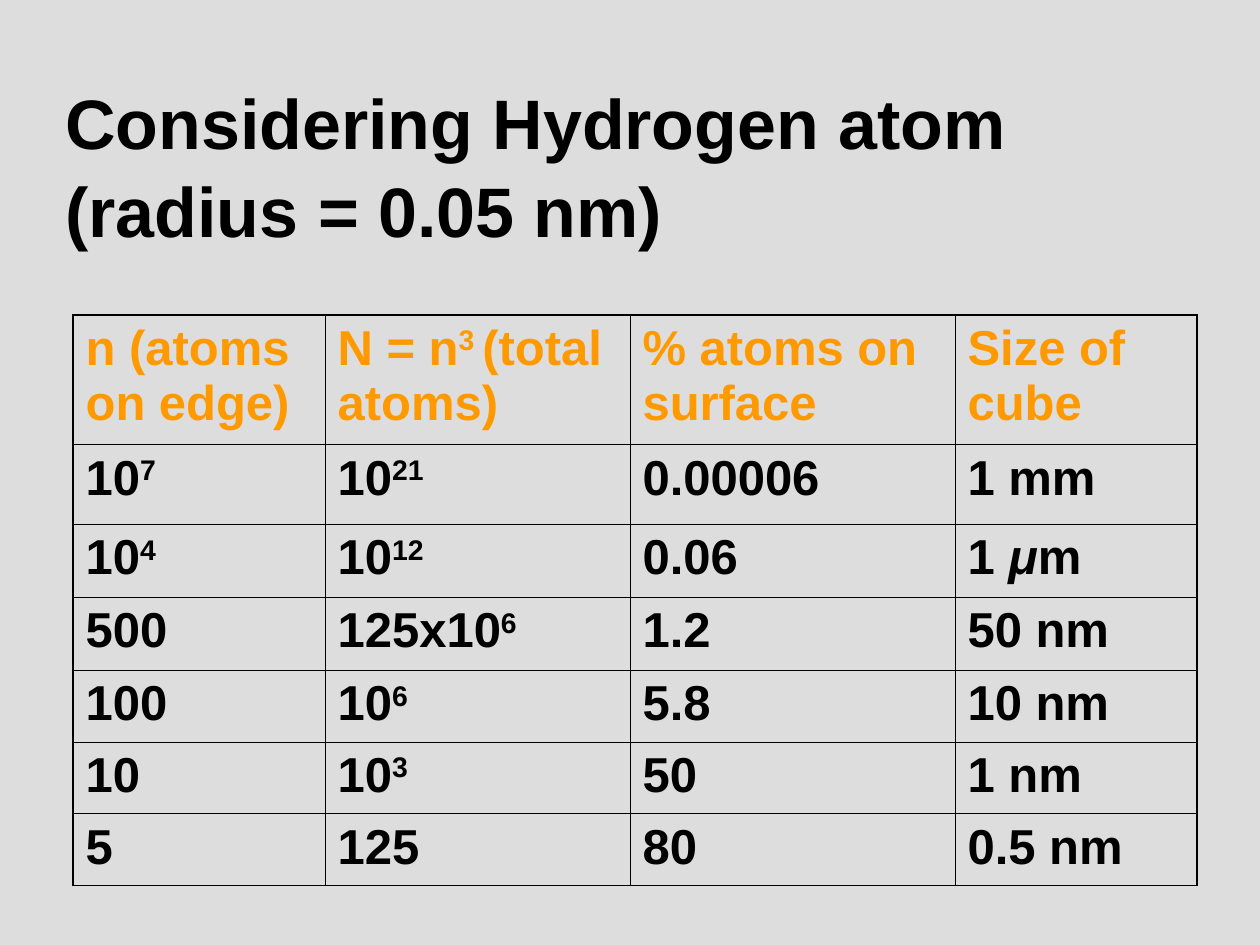
from pptx import Presentation
from pptx.dml.color import RGBColor
from pptx.enum.text import MSO_ANCHOR, MSO_AUTO_SIZE, PP_ALIGN
from pptx.oxml import parse_xml
from pptx.oxml.ns import nsdecls
from pptx.util import Inches, Pt

LEFT, MIDDLE, NO_FIT = PP_ALIGN.LEFT, MSO_ANCHOR.MIDDLE, MSO_AUTO_SIZE.NONE

TITLE = "Considering Hydrogen atom (radius = 0.05 nm)"
# ^...^ marks superscript, *...* marks italic
ROWS = [
    ["n (atoms on edge)", "N = n^3 ^(total atoms)", "% atoms on surface", "Size of cube"],
    ["10^7^", "10^21^", "0.00006", "1 mm"],
    ["10^4^", "10^12^", "0.06", "1 *μ*m"],
    ["500", "125x10^6^", "1.2", "50 nm"],
    ["100", "10^6^", "5.8", "10 nm"],
    ["10", "10^3^", "50", "1 nm"],
    ["5", "125", "80", "0.5 nm"],
]
COL_WIDTHS = [2, 2.42, 2.58, 1.92]
ROW_HEIGHTS = [1.03, 0.63, 0.58, 0.58, 0.57, 0.57, 0.57]
COLORS = {"background": "DDDDDD", "text": "000000", "header": "FF9900", "border": "000000"}
FONT = "Arial"
OUTER, INNER = 1.08, 0.45


def style(font, size, color):
    font.name, font.size, font.bold = FONT, Pt(size), True
    font.color.rgb = RGBColor.from_string(COLORS[color])


def add_marked_runs(p, text, size, color):
    """Write text as runs, turning the ^ and * marks into superscript and italic."""
    for i, part in enumerate(text.split("^")):
        for j, piece in enumerate(part.split("*")):
            if not piece:
                continue
            r = p.add_run()
            r.text = piece
            style(r.font, size, color)
            if i % 2:
                r.font._element.set("baseline", "30000")
            if j % 2:
                r.font.italic = True


def set_borders(cell, at_edge):
    """Draw the four sides, heavier where a side lies on the table's edge."""
    tcPr = cell._tc.get_or_add_tcPr()
    for side, outer in zip("LRTB", at_edge):
        width = Pt(OUTER if outer else INNER)
        tcPr.append(parse_xml(
            f'<a:ln{side} {nsdecls("a")} w="{width}"><a:solidFill>'
            f'<a:srgbClr val="{COLORS["border"]}"/></a:solidFill></a:ln{side}>'))


def add_title(s):
    title = s.shapes.title
    title.left, title.top, title.width, title.height = map(Inches, (0.42, 0.58, 9.25, 1.44))
    tf = title.text_frame
    tf.text = TITLE
    tf.word_wrap, tf.auto_size, tf.vertical_anchor = True, NO_FIT, MIDDLE
    p = tf.paragraphs[0]
    p.alignment, p.line_spacing = LEFT, 1.04
    style(p.runs[0].font, 40, "text")


def add_atom_table(s):
    table = s.shapes.add_table(
        len(ROWS), len(COL_WIDTHS), Inches(0.58), Inches(2.5),
        Inches(sum(COL_WIDTHS)), Inches(sum(ROW_HEIGHTS))).table
    for column, width in zip(table.columns, COL_WIDTHS):
        column.width = Inches(width)
    for row, height in zip(table.rows, ROW_HEIGHTS):
        row.height = Inches(height)
    for i, texts in enumerate(ROWS):
        for j, text in enumerate(texts):
            cell = table.cell(i, j)
            add_marked_runs(cell.text_frame.paragraphs[0], text, 28, "text" if i else "header")
            set_borders(cell, (j == 0, j == len(texts) - 1, i == 0, i == len(ROWS) - 1))
            cell.fill.background()


def main():
    prs = Presentation()
    prs.slide_width, prs.slide_height = Inches(10), Inches(7.5)
    s = prs.slides.add_slide(prs.slide_layouts[5])
    s.background.fill.solid()
    s.background.fill.fore_color.rgb = RGBColor.from_string(COLORS["background"])
    add_title(s)
    add_atom_table(s)
    prs.save("out.pptx")


if __name__ == "__main__":
    main()
